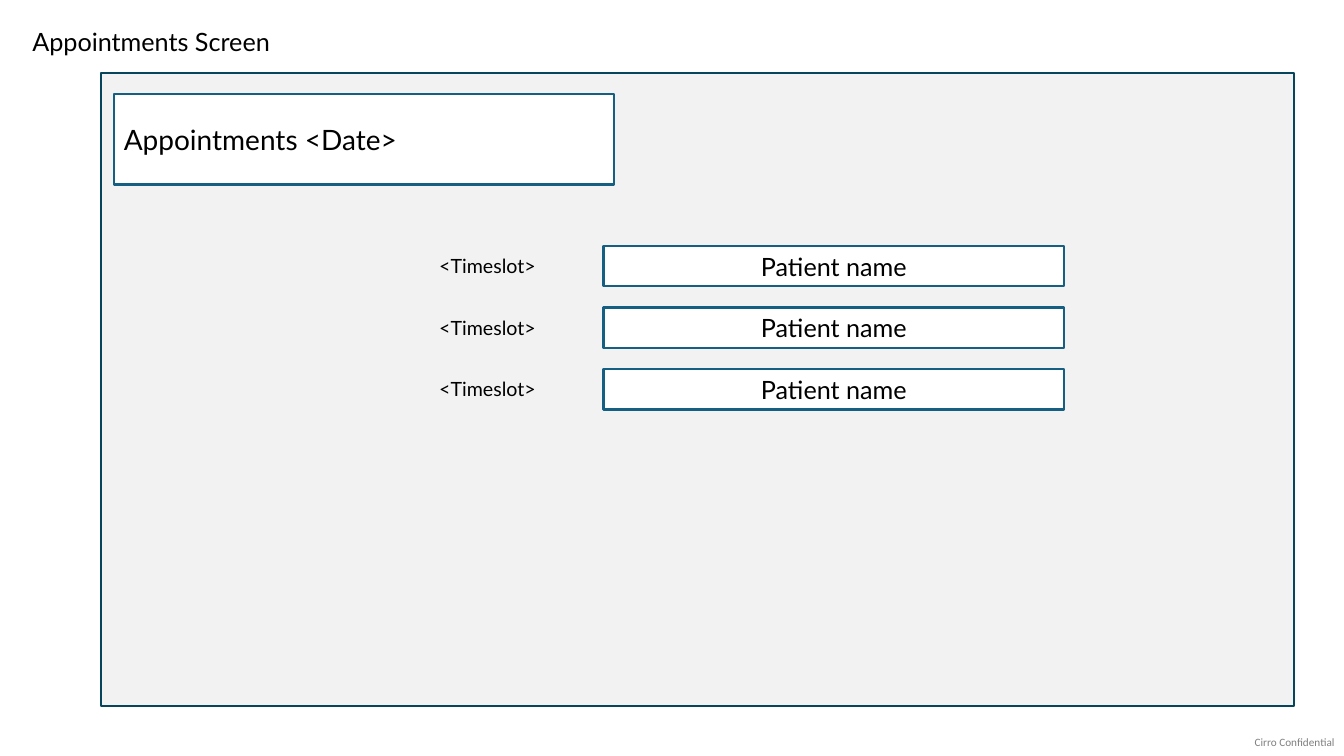
from pptx import Presentation
from pptx.dml.color import RGBColor
from pptx.enum import shapes, text
from pptx.util import Cm, Pt

BLACK = RGBColor(0x00, 0x00, 0x00)
WHITE = RGBColor(0xFF, 0xFF, 0xFF)
PALE = RGBColor(0xF2, 0xF2, 0xF2)
GRAY = RGBColor(0x7F, 0x7F, 0x7F)
TEAL = RGBColor(0x15, 0x60, 0x82)
DARK = RGBColor(0x07, 0x45, 0x5D)

LEFT = text.PP_ALIGN.LEFT
CENTER = text.PP_ALIGN.CENTER
TOP = text.MSO_ANCHOR.TOP
MIDDLE = text.MSO_ANCHOR.MIDDLE

deck = Presentation()
deck.slide_width = Cm(33.87)
deck.slide_height = Cm(19.05)
slide = deck.slides.add_slide(deck.slide_layouts[5])


def box(place, fill, line):
    shape = slide.shapes.add_shape(shapes.MSO_SHAPE.RECTANGLE, *map(Cm, place))
    shape.shadow.inherit = False
    shape.fill.solid()
    shape.fill.fore_color.rgb = fill
    shape.line.color.rgb = line
    shape.line.width = Pt(1.5)
    return shape


def write(shape, words, size, align=LEFT, anchor=TOP, font="Lato", color=BLACK):
    frame = shape.text_frame
    frame.text = words
    frame.word_wrap = True
    frame.auto_size = text.MSO_AUTO_SIZE.NONE
    frame.vertical_anchor = anchor
    line = frame.paragraphs[0]
    line.alignment = align
    line.font.name = font
    line.font.size = Pt(size)
    line.font.color.rgb = color


title = slide.shapes.title
title.left, title.top, title.width, title.height = map(Cm, (0.56, 0.53, 12.85, 1.02))
write(title, "Appointments Screen", 18)

box((2.54, 1.85, 30.07, 15.95), PALE, DARK)
header = box((2.87, 2.36, 12.6, 2.29), WHITE, TEAL)
write(header, "Appointments <Date>", 20, anchor=MIDDLE)

for row in range(3):
    top = 6.2 + 1.55 * row
    name = box((15.21, top, 11.61, 1.02), WHITE, TEAL)
    write(name, "Patient name", 18, CENTER, MIDDLE)
    slot = slide.shapes.add_textbox(Cm(10.82), Cm(top + 0.08), Cm(3.96), Cm(0.86))
    write(slot, "<Timeslot>", 14)

footer = slide.shapes.add_textbox(Cm(31.62), Cm(18.54), Cm(2.13), Cm(0.33))
write(footer, "Cirro Confidential", 8, font="Calibri", color=GRAY)
frame = footer.text_frame
frame.margin_left = frame.margin_right = frame.margin_top = frame.margin_bottom = 0
frame.word_wrap = False

deck.save("out.pptx")
